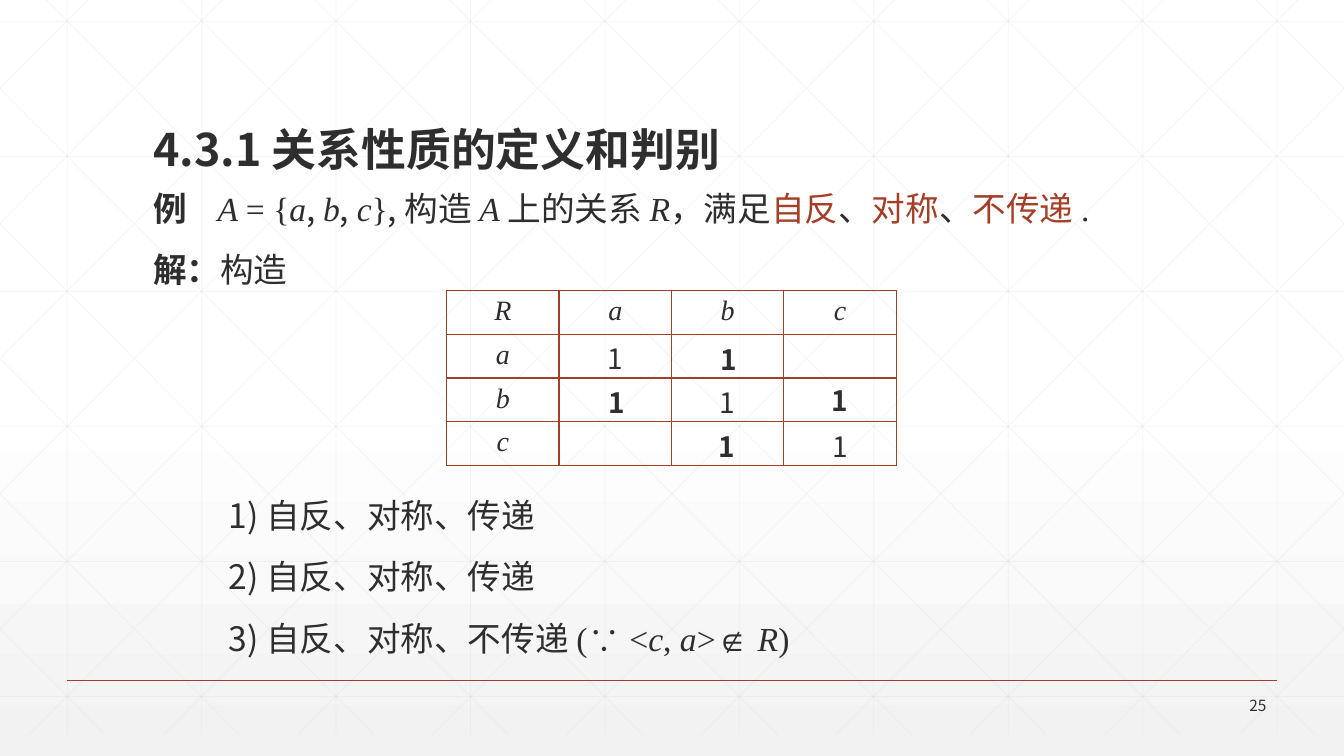
import pptx
import pptx.util
import pptx.dml.color
import pptx.enum.text
import pptx.enum.shapes
import pptx.oxml
import pptx.oxml.ns

COLORS = {"ink": "2D2E2D", "accent": "A43F27", "grid": "D9D9D9",
          "white": "FFFFFF", "shade": "F2F2F2"}
SANS, SERIF = "Noto Sans CJK SC", "Times New Roman"
W, H = 13.33, 7.5

# Run formats
PLAIN = {"name": SERIF}
ITALIC = {"name": SERIF, "italic": True}
BOLD = {"name": SANS, "bold": True}
LATIN = {"name": SANS}
ACCENT = {"name": SERIF, "color": "accent"}

# Content
TITLE = "4.3.1 关系性质的定义和判别"
EXAMPLE = [
    ("例\t", BOLD), ("A ", ITALIC), ("= {", PLAIN), ("a", ITALIC), (", ", LATIN),
    ("b", ITALIC), (", ", LATIN), ("c", ITALIC), ("}", PLAIN), (", ", LATIN),
    ("构造 ", PLAIN), ("A ", ITALIC), ("上的关系 ", PLAIN), ("R", ITALIC),
    ("，满足", PLAIN), ("自反", ACCENT), ("、", PLAIN), ("对称", ACCENT),
    ("、", PLAIN), ("不传递 ", ACCENT), (".", PLAIN)]
SOLUTION = [("解：", BOLD), ("构造", PLAIN)]
CASES = [
    [("1) ", LATIN), ("自反、对称、传递", PLAIN)],
    [("2) ", LATIN), ("自反、对称、传递", PLAIN)],
    [("3) ", LATIN), ("自反、对称、不传递 (∵ <", PLAIN), ("c", ITALIC),
     (", ", PLAIN), ("a", ITALIC), (">∉ ", PLAIN), ("R", ITALIC), (")", PLAIN)]]
RELATION = [["R", "a", "b", "c"],
            ["a", "1", "", ""],
            ["b", "", "1", ""],
            ["c", "", "", "1"]]
ADDED_ONES = [(7.04, 3.35), (5.93, 3.78), (8.14, 3.76), (7.02, 4.21)]
PAGE = "25"

# Layout
GRID_TOP, GRID_BOTTOM, STEP = -0.21, 7.29, 4 / 3
SLANT = 7.46 / (GRID_BOTTOM - GRID_TOP)
LINE_PT, GAP_PT = 26, 17.9
CASE_GAP_PT = 4 * (LINE_PT + GAP_PT) - LINE_PT
CASE_INDENT, EXAMPLE_TAB = 0.75, 0.64

inch, pt = pptx.util.Inches, pptx.util.Pt
ALIGN, ANCHOR = pptx.enum.text.PP_ALIGN, pptx.enum.text.MSO_ANCHOR
NS = pptx.oxml.ns.nsdecls("a")


def rgb(key):
    return pptx.dml.color.RGBColor.from_string(COLORS[key])


def add_line(s, x1, y1, x2, y2, color, width, alpha=None):
    sp = s.shapes.add_connector(pptx.enum.shapes.MSO_CONNECTOR.STRAIGHT,
                                inch(x1), inch(y1), inch(x2), inch(y2))
    sp.line.color.rgb = rgb(color)
    sp.line.width = pt(width)
    if alpha:
        hue = sp.line._get_or_add_ln().find(".//" + pptx.oxml.ns.qn("a:srgbClr"))
        hue.append(pptx.oxml.parse_xml(f'<a:alpha {NS} val="{alpha * 1000}"/>'))
    sp._element.spPr.append(pptx.oxml.parse_xml(f"<a:effectLst {NS}/>"))


def add_runs(p, runs, size):
    for text, style in runs:
        r = p.add_run()
        r.text = text
        values = {"size": pt(size), **style}
        r.font.color.rgb = rgb(values.pop("color", "ink"))
        for key, value in values.items():
            setattr(r.font, key, value)
        r.font._element.append(pptx.oxml.parse_xml(f'<a:ea {NS} typeface="{SANS}"/>'))


def add_box(s, x, y, w, h, wrap=True, anchor=ANCHOR.TOP):
    tf = s.shapes.add_textbox(inch(x), inch(y), inch(w), inch(h)).text_frame
    tf.word_wrap = wrap
    tf.vertical_anchor = anchor
    return tf


def draw_background(s):
    stops = [(0, "white"), (53, "white"), (100, "shade")]
    fill = s.background.fill
    fill.gradient()
    fill.gradient_angle = 270
    gs_list = s.background._cSld.find(".//" + pptx.oxml.ns.qn("a:gsLst"))
    for gs in list(gs_list):
        gs_list.remove(gs)
    for pos, key in stops:
        gs_list.append(pptx.oxml.parse_xml(
            f'<a:gs {NS} pos="{pos * 1000}"><a:srgbClr val="{COLORS[key]}"/></a:gs>'))

    # Vertical, horizontal and mirrored diagonal lines
    lines = [(STEP * (k + 0.5), GRID_TOP, STEP * (k + 0.5), GRID_BOTTOM) for k in range(10)]
    lines += [(0, 0.21 + 1.34 * k, W, 0.21 + 1.34 * k) for k in range(6)]
    for k in range(-5, 10):
        start = 0.25 + STEP * k
        x1, x2 = max(start, 0), min(start + 7.46, W)
        y1, y2 = (GRID_TOP + (x - start) / SLANT for x in (x1, x2))
        lines += [(x1, y1, x2, y2), (W - x1, y1, W - x2, y2)]
    for line in lines:
        add_line(s, *line, "grid", 0.5, 25)
    add_line(s, STEP / 2, 0.9 * H, W - STEP / 2, 0.9 * H, "accent", 1)


def draw_body(s):
    tf = add_box(s, 1.42, 1.85, 10.5, 4.76)
    for i, runs in enumerate([EXAMPLE, SOLUTION] + CASES):
        p = tf.paragraphs[0] if i == 0 else tf.add_paragraph()
        p.line_spacing = pt(LINE_PT)
        p.space_before = pt(0 if i == 0 else CASE_GAP_PT if i == 2 else GAP_PT)
        pPr = p._p.get_or_add_pPr()
        if i == 0:
            pPr.append(pptx.oxml.parse_xml(
                f'<a:tabLst {NS}><a:tab pos="{inch(EXAMPLE_TAB)}" algn="l"/></a:tabLst>'))
        if i >= 2:
            pPr.set("marL", str(inch(CASE_INDENT)))
        add_runs(p, runs, 24)


def draw_relation(s):
    n = len(RELATION)
    table = s.shapes.add_table(n, n, inch(4.43), inch(2.88),
                               inch(4.46), inch(1.74)).table
    table.first_row = table.horz_banding = False
    for i, row in enumerate(RELATION):
        table.rows[i].height = inch(1.74 / n)
        for j, text in enumerate(row):
            cell = table.cell(i, j)
            cell.fill.background()
            cell.margin_top = inch(0.03 if text == "1" else 0.05)
            cell.margin_bottom = 0
            p = cell.text_frame.paragraphs[0]
            p.alignment = ALIGN.CENTER
            if text:
                add_runs(p, [(text, LATIN if text == "1" else ITALIC)], 20)
            tcPr = cell._tc.get_or_add_tcPr()
            for k, side in enumerate("LRTB"):
                tcPr.insert(k, pptx.oxml.parse_xml(
                    f'<a:ln{side} {NS} w="12700"><a:solidFill><a:srgbClr '
                    f'val="{COLORS["accent"]}"/></a:solidFill></a:ln{side}>'))
    for x, y in ADDED_ONES:
        tf = add_box(s, x, y, 0.38, 0.44, wrap=False)
        tf.paragraphs[0].alignment = ALIGN.CENTER
        add_runs(tf.paragraphs[0], [("1", BOLD)], 20)


def main():
    prs = pptx.Presentation()
    prs.slide_width, prs.slide_height = inch(W), inch(H)
    s = prs.slides.add_slide(prs.slide_layouts[6])
    draw_background(s)
    draw_body(s)

    # Page number
    p = add_box(s, 11.66, 6.88, 1, 0.24, anchor=ANCHOR.MIDDLE).paragraphs[0]
    p.alignment = ALIGN.RIGHT
    add_runs(p, [(PAGE, LATIN)], 11)

    draw_relation(s)

    # Title
    p = add_box(s, 1.42, 0.55, 10.5, 1.25, anchor=ANCHOR.BOTTOM).paragraphs[0]
    p.line_spacing = 0.9
    add_runs(p, [(TITLE, BOLD)], 32)
    prs.save("out.pptx")


if __name__ == "__main__":
    main()
